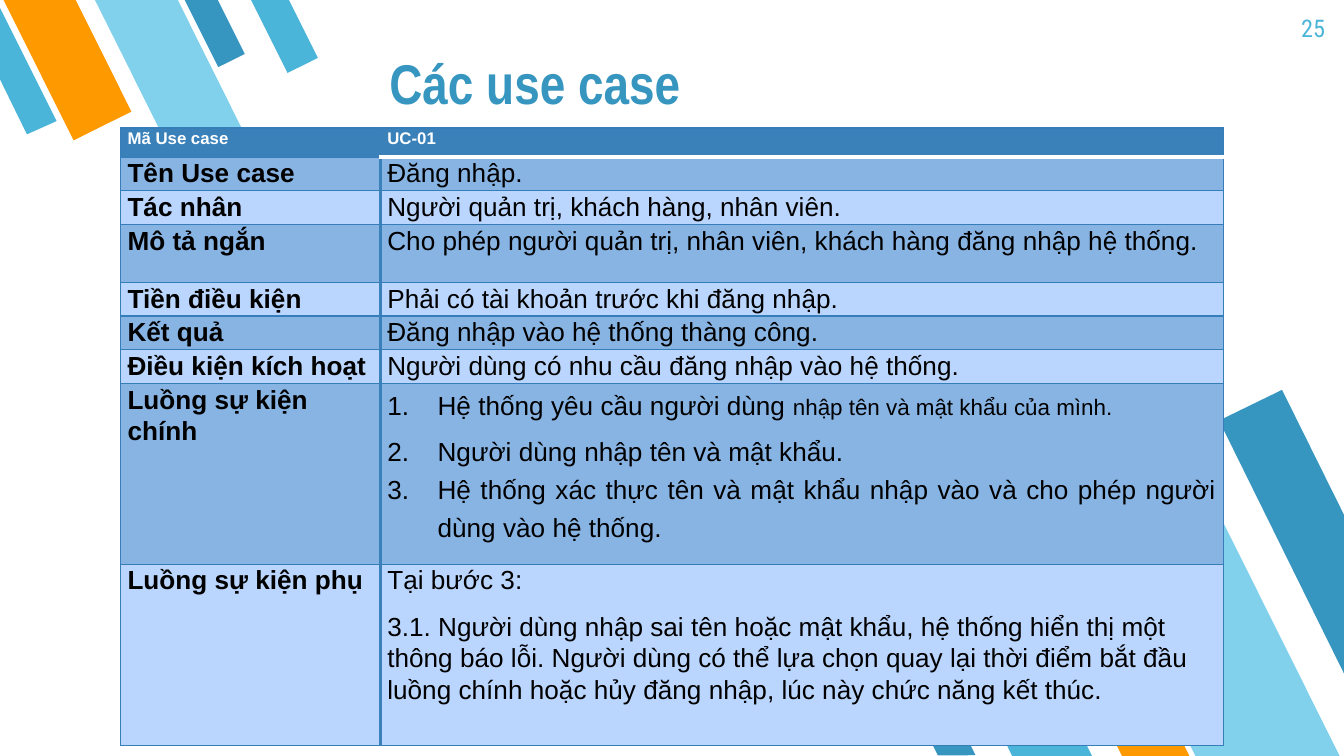
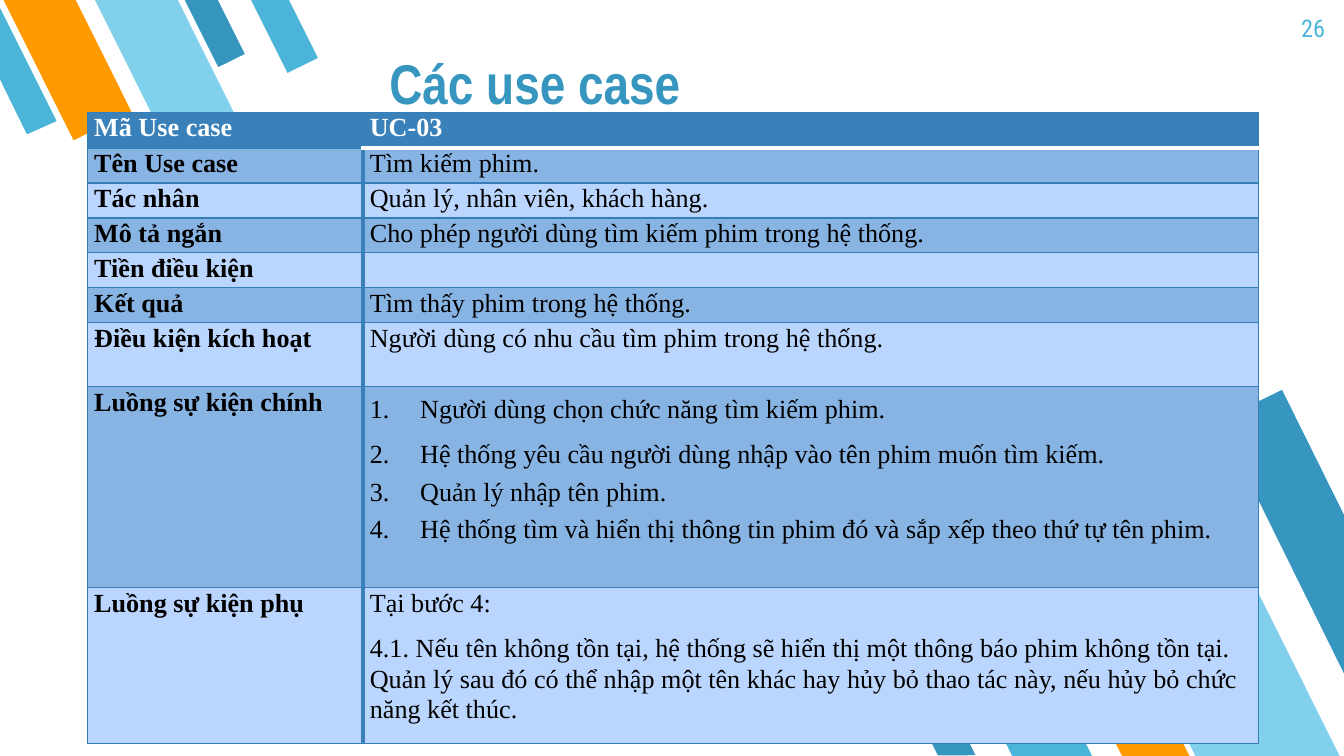
import dataclasses

import lxml.etree
import pptx
import pptx.dml.color
import pptx.enum.shapes
import pptx.enum.text
import pptx.oxml.ns
import pptx.util

Cm = pptx.util.Cm
Pt = pptx.util.Pt
qn = pptx.oxml.ns.qn
ALIGN = pptx.enum.text.PP_ALIGN
ANCHOR = pptx.enum.text.MSO_ANCHOR


@dataclasses.dataclass(frozen=True)
class Theme:
    deep: str = "3796BF"
    sky: str = "4BB5D9"
    pale: str = "81D1EC"
    orange: str = "FF9900"
    header: str = "3A81BA"
    band: str = "88B4E4"
    plain: str = "BBD6FE"
    grid: str = "367EB9"
    white: str = "FFFFFF"
    black: str = "000000"
    title_font: str = "Arial Narrow"
    number_font: str = "Roboto Condensed"
    title_size: int = 30
    number_size: int = 13
    body_size: int = 14
    small_size: int = 12
    tiny_size: int = 9
    thin: float = 0.75
    thick: float = 2


THEME = Theme()

STRIPES = [
    (18.62, 11.43, 1.35, 3.35, 153.5, THEME.sky),
    (21.67, 9.12, 2.44, 6.07, 153.5, THEME.pale),
    (20.78, 11.89, 1.14, 2.82, 153.5, THEME.orange),
    (17.48, 12.93, 0.64, 1.57, 153.5, THEME.deep),
    (3.78, -0.2, 0.56, 1.42, 333.5, THEME.deep),
    (0.66, -0.46, 1.22, 3, 333.5, THEME.orange),
    (2.49, -0.51, 1.4, 3.48, 333.5, THEME.pale),
    (5.05, -0.25, 0.64, 1.57, 333.5, THEME.sky),
]
EDGE_STRIPES = [
    ([(24.23, 7.37), (23.04, 7.95), (25.4, 12.73), (25.4, 9.73)], THEME.deep),
    ([(0.51, 2.54), (1.07, 2.29), (0, 0.15), (0, 1.5)], THEME.sky),
]
LABELS = [
    "Mã Use case", "Tên Use case", "Tác nhân", "Mô tả ngắn", "Tiền điều kiện",
    "Kết quả", "Điều kiện kích hoạt", "Luồng sự kiện chính", "Luồng sự kiện phụ",
]
MAIN_FLOW = LABELS.index("Luồng sự kiện chính")


@dataclasses.dataclass
class UseCase:
    number: str
    left: float
    top: float
    columns: list
    rows: list
    font: str
    header_size: int
    spacing: float
    answers: list


USE_CASES = [
    UseCase(
        "25", 2.28, 2.42, [4.91, 15.93],
        [0.55, 0.62, 0.62, 1.1, 0.62, 0.62, 0.62, 3.42, 3.42],
        "Arial", THEME.tiny_size, 1.07,
        [
            ["UC-01"],
            ["Đăng nhập."],
            ["Người quản trị, khách hàng, nhân viên."],
            ["Cho phép người quản trị, nhân viên, khách hàng đăng nhập hệ thống."],
            ["Phải có tài khoản trước khi đăng nhập."],
            ["Đăng nhập vào hệ thống thàng công."],
            ["Người dùng có nhu cầu đăng nhập vào hệ thống."],
            [
                ("Hệ thống yêu cầu người dùng ", "nhập tên và mật khẩu của mình."),
                "Người dùng nhập tên và mật khẩu.",
                "Hệ thống xác thực tên và mật khẩu nhập vào và cho phép người dùng "
                "vào hệ thống.",
            ],
            [
                "Tại bước 3:",
                "3.1. Người dùng nhập sai tên hoặc mật khẩu, hệ thống hiển thị một "
                "thông báo lỗi. Người dùng có thể lựa chọn quay lại thời điểm bắt đầu "
                "luồng chính hoặc hủy đăng nhập, lúc này chức năng kết thúc.",
            ],
        ],
    ),
    UseCase(
        "26", 1.65, 2.12, [5.21, 16.92],
        [0.68, 0.66, 0.66, 0.66, 0.66, 0.66, 1.21, 3.8, 2.95],
        "Times New Roman", THEME.body_size, 1.05,
        [
            ["UC-03"],
            ["Tìm kiếm phim."],
            ["Quản lý, nhân viên, khách hàng."],
            ["Cho phép người dùng tìm kiếm phim trong hệ thống."],
            [],
            ["Tìm thấy phim trong hệ thống."],
            ["Người dùng có nhu cầu tìm phim trong hệ thống."],
            [
                "Người dùng chọn chức năng tìm kiếm phim.",
                "Hệ thống yêu cầu người dùng nhập vào tên phim muốn tìm kiếm.",
                "Quản lý nhập tên phim.",
                "Hệ thống tìm và hiển thị thông tin phim đó và sắp xếp theo thứ tự "
                "tên phim.",
            ],
            [
                "Tại bước 4:",
                "4.1. Nếu tên không tồn tại, hệ thống sẽ hiển thị một thông báo phim "
                "không tồn tại. Quản lý sau đó có thể nhập một tên khác hay hủy bỏ thao "
                "tác này, nếu hủy bỏ chức năng kết thúc.",
            ],
        ],
    ),
]


def rgb(color):
    return pptx.dml.color.RGBColor.from_string(color)


class Deck:
    def __init__(self, theme):
        self.theme = theme
        self.prs = pptx.Presentation()
        self.prs.slide_width, self.prs.slide_height = Cm(25.4), Cm(14.29)
        self.slide = None

    def new_slide(self):
        self.slide = self.prs.slides.add_slide(self.prs.slide_layouts[6])

    def paint(self, shape, color):
        shape.shadow.inherit = False
        shape.fill.solid()
        shape.fill.fore_color.rgb = rgb(color)
        shape.line.fill.background()

    def stripe(self, left, top, width, height, rotation, color):
        stripe = self.slide.shapes.add_shape(
            pptx.enum.shapes.MSO_SHAPE.FLOWCHART_MANUAL_INPUT,
            Cm(left), Cm(top), Cm(width), Cm(height))
        stripe.rotation = rotation
        stripe._element.spPr.find(qn("a:xfrm")).set("flipH", "1")
        self.paint(stripe, color)

    def edge_stripe(self, corners, color):
        start, *others = [(Cm(x), Cm(y)) for x, y in corners]
        builder = self.slide.shapes.build_freeform(*start)
        builder.add_line_segments(others, close=True)
        self.paint(builder.convert_to_shape(), color)

    def run(self, paragraph, text, font, size, color, bold=False):
        run = paragraph.add_run()
        run.text = text
        run.font.name, run.font.size, run.font.bold = font, Pt(size), bold
        run.font.color.rgb = rgb(color)

    def text(self, left, top, width, height, text, font, size, color,
             bold=False, align=ALIGN.LEFT, anchor=ANCHOR.TOP):
        frame = self.slide.shapes.add_textbox(
            Cm(left), Cm(top), Cm(width), Cm(height)).text_frame
        frame.word_wrap = True
        frame.vertical_anchor = anchor
        frame.margin_left = frame.margin_right = Cm(0.25)
        frame.margin_top = frame.margin_bottom = Cm(0.25)
        frame.paragraphs[0].alignment = align
        self.run(frame.paragraphs[0], text, font, size, color, bold)

    def number_step(self, paragraph):
        props = paragraph._p.get_or_add_pPr()
        props.set("marL", str(Cm(0.95)))
        props.set("indent", str(-Cm(0.95)))
        bullet_color = lxml.etree.SubElement(props, qn("a:buClr"))
        lxml.etree.SubElement(bullet_color, qn("a:srgbClr"), val=self.theme.black)
        lxml.etree.SubElement(props, qn("a:buAutoNum"), type="arabicPeriod")

    def borders(self, cell, row, column):
        t = self.theme
        thin, divider = (t.grid, t.thin), (t.header, t.thick)
        header_rule = (t.white, t.thick) if column else thin
        edges = {
            "a:lnL": divider if column else thin,
            "a:lnR": thin if column else divider,
            "a:lnT": header_rule if row == 1 else thin,
            "a:lnB": header_rule if row == 0 else thin,
        }
        props = cell._tc.get_or_add_tcPr()
        for tag, (color, width) in edges.items():
            line = lxml.etree.SubElement(props, qn(tag), w=str(Pt(width)))
            fill = lxml.etree.SubElement(line, qn("a:solidFill"))
            lxml.etree.SubElement(fill, qn("a:srgbClr"), val=color)

    def cell(self, cell, row, column, paragraphs, case):
        t = self.theme
        cell.margin_left = cell.margin_right = Cm(0.13)
        cell.margin_top = cell.margin_bottom = 0
        self.borders(cell, row, column)
        cell.fill.solid()
        cell.fill.fore_color.rgb = rgb(
            t.header if row == 0 else t.band if row % 2 else t.plain)
        frame = cell.text_frame
        size = t.body_size if row else case.header_size
        color = t.black if row else t.white
        numbered = column == 1 and row == MAIN_FLOW
        if not paragraphs:
            lxml.etree.SubElement(
                frame.paragraphs[0]._p, qn("a:endParaRPr"), sz=str(size * 100))
        for index, content in enumerate(paragraphs):
            paragraph = frame.add_paragraph() if index else frame.paragraphs[0]
            if numbered:
                self.number_step(paragraph)
                paragraph.alignment = ALIGN.JUSTIFY
                paragraph.line_spacing = 1.3
                paragraph.space_after = Pt(0 if index else 4)
            else:
                paragraph.line_spacing = case.spacing
                paragraph.space_after = Pt(8)
            parts = (content,) if isinstance(content, str) else content
            for part, part_size in zip(parts, (size, t.small_size)):
                self.run(paragraph, part, case.font, part_size, color,
                         row == 0 or column == 0)

    def table(self, case):
        table = self.slide.shapes.add_table(
            len(LABELS), 2, Cm(case.left), Cm(case.top),
            Cm(sum(case.columns)), Cm(sum(case.rows))).table
        table.first_row = table.horz_banding = False
        for column, width in zip(table.columns, case.columns):
            column.width = Cm(width)
        for index, (label, answer) in enumerate(zip(LABELS, case.answers)):
            table.rows[index].height = Cm(case.rows[index])
            self.cell(table.cell(index, 0), index, 0, [label], case)
            self.cell(table.cell(index, 1), index, 1, answer, case)

    def use_case(self, case):
        t = self.theme
        self.new_slide()
        for stripe in STRIPES:
            self.stripe(*stripe)
        for edge_stripe in EDGE_STRIPES:
            self.edge_stripe(*edge_stripe)
        self.text(7.11, 0.56, 16, 1.88, "Các use case", t.title_font, t.title_size,
                  t.deep, bold=True, anchor=ANCHOR.BOTTOM)
        self.text(23.77, 0, 1.52, 1.09, case.number, t.number_font, t.number_size,
                  t.sky, align=ALIGN.RIGHT)
        self.table(case)


def main():
    deck = Deck(THEME)
    for case in USE_CASES:
        deck.use_case(case)
    deck.prs.save("out.pptx")


if __name__ == "__main__":
    main()
